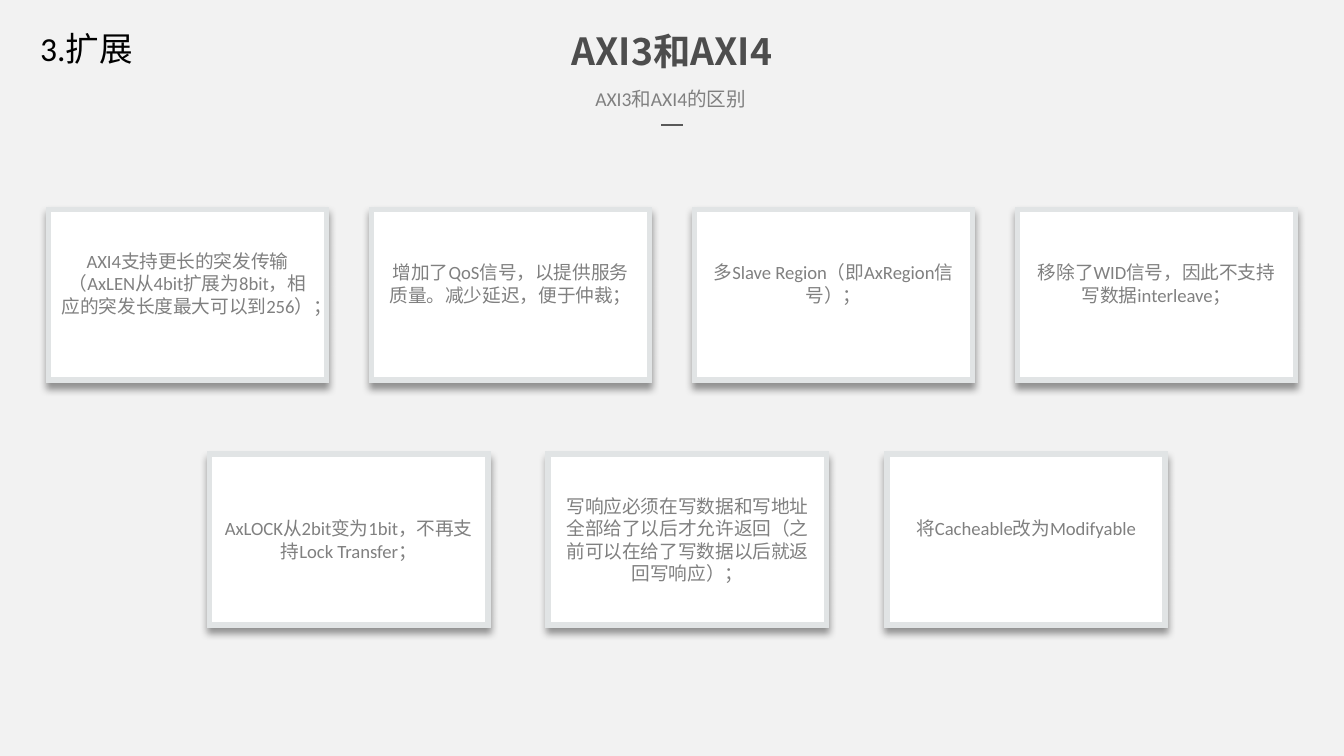
from lxml import etree
from pptx import Presentation
from pptx.dml.color import RGBColor
from pptx.enum.shapes import MSO_CONNECTOR, MSO_SHAPE
from pptx.enum.text import MSO_ANCHOR, MSO_AUTO_SIZE, PP_ALIGN
from pptx.oxml import parse_xml
from pptx.oxml.ns import nsdecls, qn
from pptx.util import Inches, Pt

LEFT, CENTER = PP_ALIGN.LEFT, PP_ALIGN.CENTER
TOP, MIDDLE = MSO_ANCHOR.TOP, MSO_ANCHOR.MIDDLE

# Content
SECTION = "3.扩展"
TITLE = "AXI3和AXI4"
SUBTITLE = "AXI3和AXI4的区别 "

# Each row: first left, last left, top, and cards as (text, bottom inset)
HIGH, EVEN = 0.22, 0.05
ROWS = [
    (0.36, 7.57, 1.56, [
        ("AXI4支持更长的突发传输（AxLEN从4bit扩展为8bit，相应的突发长度最大可以到256）；", HIGH),
        ("增加了QoS信号，以提供服务质量。减少延迟，便于仲裁；", HIGH),
        ("多Slave Region（即AxRegion信号）；", HIGH),
        ("移除了WID信号，因此不支持写数据interleave；", HIGH),
    ]),
    (1.56, 6.6, 3.38, [
        ("AxLOCK从2bit变为1bit，不再支持Lock Transfer；", EVEN),
        ("写响应必须在写数据和写地址全部给了以后才允许返回（之前可以在给了写数据以后就返回写响应）；", EVEN),
        ("将Cacheable改为Modifyable", HIGH),
    ]),
]
CARD_W, CARD_H = 2.07, 1.27

# Style
LATIN, CJK = "Calibri", "Noto Sans CJK SC"
BACKGROUND = RGBColor(0xF2, 0xF2, 0xF2)
WHITE = RGBColor(0xFF, 0xFF, 0xFF)
BLACK = RGBColor(0, 0, 0)
DARK = RGBColor(0x4D, 0x4D, 0x4D)
GRAY = RGBColor(0x80, 0x80, 0x80)
RULE = RGBColor(0x59, 0x59, 0x59)
BORDER = RGBColor(0xE1, 0xE4, 0xE5)
SHADOW = (
    f'<a:outerShdw {nsdecls("a")} blurRad="{Pt(4)}" dist="{Pt(3)}" dir="5400000" '
    'algn="t" rotWithShape="0"><a:srgbClr val="000000"><a:alpha val="40000"/>'
    '</a:srgbClr></a:outerShdw>'
)


def write(sp, text, size, color, align=CENTER, anchor=TOP, font=LATIN, bold=False):
    tf = sp.text_frame
    tf.word_wrap = True
    tf.auto_size = MSO_AUTO_SIZE.NONE
    tf.vertical_anchor = anchor
    tf.text = text
    p = tf.paragraphs[0]
    p.alignment = align
    r = p.runs[0]
    r.font.size = Pt(size)
    r.font.bold = bold
    r.font.color.rgb = color
    r.font.name = font
    etree.SubElement(r.font._element, qn("a:ea"), typeface=CJK)


def add_text(s, box, *args, **style):
    sp = s.shapes.add_textbox(*map(Inches, box))
    write(sp, *args, **style)


def add_card(s, left, top, text, bottom):
    sp = s.shapes.add_shape(MSO_SHAPE.RECTANGLE, Inches(left), Inches(top),
                            Inches(CARD_W), Inches(CARD_H))
    sp.fill.solid()
    sp.fill.fore_color.rgb = WHITE
    sp.line.color.rgb = BORDER
    sp.line.width = Pt(3)
    etree.SubElement(sp._element.spPr.find(qn("a:ln")), qn("a:miter"), lim="800000")
    sp.shadow.inherit = False
    sp._element.spPr.find(qn("a:effectLst")).append(parse_xml(SHADOW))
    write(sp, text, 10, GRAY, anchor=MIDDLE)
    sp.text_frame.margin_bottom = Inches(bottom)


def main():
    prs = Presentation()
    prs.slide_width = Inches(10)
    prs.slide_height = prs.slide_width * 9 // 16
    s = prs.slides.add_slide(prs.slide_layouts[5])
    s.background.fill.solid()
    s.background.fill.fore_color.rgb = BACKGROUND

    # Headings
    title = s.shapes.title
    title.left, title.top = Inches(2.64), Inches(0.16)
    title.width, title.height = Inches(4.72), Inches(0.44)
    write(title, TITLE, 20, DARK, font=CJK, bold=True)
    add_text(s, (3.17, 0.6, 3.67, 0.28), SUBTITLE, 10.5, GRAY)
    add_text(s, (0.2, 0.16, 2.2, 0.4), SECTION, 18, BLACK, align=LEFT)

    # Short rule under the subtitle
    rule = s.shapes.add_connector(MSO_CONNECTOR.STRAIGHT, Inches(4.92), Inches(0.93),
                                  Inches(5.08), Inches(0.93))
    rule.line.color.rgb = RULE
    rule.line.width = Pt(1.5)
    etree.SubElement(rule._element.spPr, qn("a:effectLst"))

    # Cards, evenly spaced in each row
    for first, last, top, cards in ROWS:
        pitch = (last - first) / (len(cards) - 1)
        for i, (text, bottom) in enumerate(cards):
            add_card(s, first + i * pitch, top, text, bottom)

    prs.save("out.pptx")


if __name__ == "__main__":
    main()
